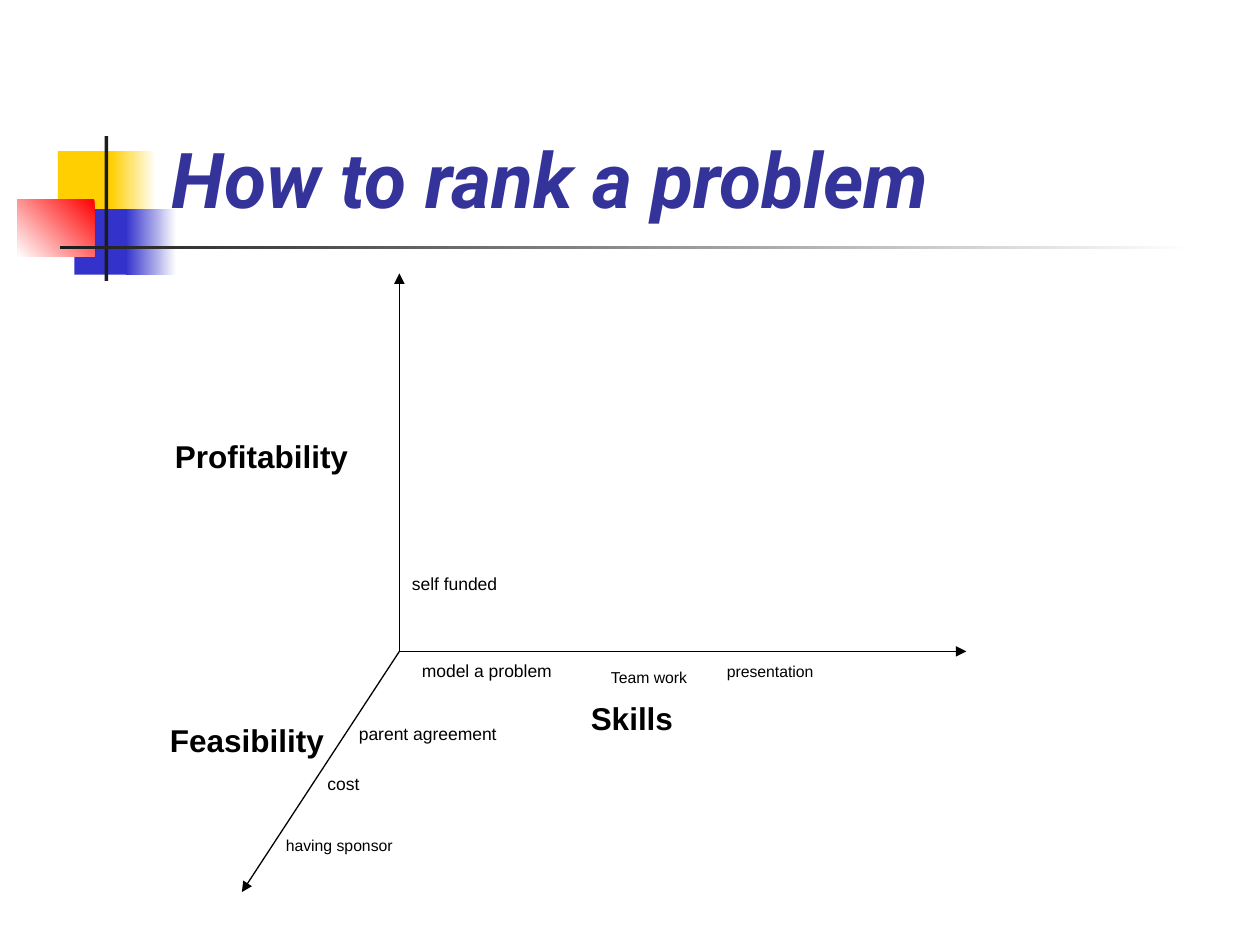
from pptx import Presentation
from pptx.dml.color import RGBColor
from pptx.enum.shapes import MSO_CONNECTOR, MSO_SHAPE
from pptx.enum.text import MSO_ANCHOR, MSO_AUTO_SIZE, PP_ALIGN
from pptx.oxml.ns import qn
from pptx.util import Inches, Pt
from lxml.etree import SubElement

WHITE = RGBColor(0xFF, 0xFF, 0xFF)
BLACK = RGBColor(0x00, 0x00, 0x00)
CHARCOAL = RGBColor(0x1C, 0x1C, 0x1C)
YELLOW = RGBColor(0xFF, 0xCF, 0x01)
BLUE = RGBColor(0x33, 0x33, 0xCC)
RED = RGBColor(0xFF, 0x00, 0x00)
NAVY = RGBColor(0x33, 0x33, 0x99)

# Position, colours (two make a gradient) and gradient angle
DECORATION = [
    ((0.46, 1.2, 0.48, 0.52), (YELLOW,), 0),
    ((0.88, 1.2, 0.36, 0.52), (WHITE, YELLOW), 180),
    ((0.59, 1.66, 0.46, 0.52), (BLUE,), 0),
    ((1, 1.66, 0.4, 0.52), (WHITE, BLUE), 180),
    ((0.14, 1.58, 0.61, 0.46), (RED, WHITE), 225),
    ((0.83, 1.08, 0.03, 1.15), (CHARCOAL,), 0),
    ((0.48, 1.95, 9, 0.03), (WHITE, CHARCOAL), 180),
]

ORIGIN = (3.17, 5.17)
AXIS_ENDS = [(3.17, 2.17), (7.67, 5.17), (1.92, 7.08)]

AXIS_NAMES = [
    ("Skills", (4.59, 5.5, 0.85, 0.4), MSO_ANCHOR.TOP),
    ("Profitability", (1.29, 3.42, 2.39, 0.7), MSO_ANCHOR.TOP),
    ("Feasibility", (1.25, 5.42, 1.49, 0.9), MSO_ANCHOR.MIDDLE),
]

# Text, position, size; a tall line ends in a large space
CRITERIA = [
    ("model a problem", (3.25, 5.08, 1.3, 0.4), 10, True),
    ("Team work", (4.75, 5.25, 0.85, 0.25), 9, False),
    ("presentation", (5.67, 5.08, 0.95, 0.4), 9, True),
    ("parent agreement", (2.75, 5.58, 1.36, 0.4), 10, True),
    ("self funded", (3.17, 4.5, 0.91, 0.27), 10, False),
    ("cost", (2.5, 6.08, 0.49, 0.27), 10, False),
    ("having sponsor", (2.17, 6.58, 1.08, 0.25), 9, False),
]


def inches(values):
    return [Inches(value) for value in values]


def add_span(para, text, color=BLACK, **font):
    span = para.add_run()
    span.text = text
    span.font.color.rgb = color
    for name, value in ({"name": "Arial"} | font).items():
        setattr(span.font, name, value)


def add_block(page, place, colors, angle):
    block = page.shapes.add_shape(MSO_SHAPE.RECTANGLE, *inches(place))
    block.shadow.inherit = False
    block.line.fill.background()
    if len(colors) == 1:
        block.fill.solid()
        block.fill.fore_color.rgb = colors[0]
        return
    block.fill.gradient()
    block.fill.gradient_angle = angle
    for stop, color, position in zip(block.fill.gradient_stops, colors, (0, 1)):
        stop.color.rgb = color
        stop.position = position


def add_title(page, text):
    title = page.shapes.title
    places = inches((1.26, 0.23, 8.52, 1.6))
    for name, value in zip(("left", "top", "width", "height"), places):
        setattr(title, name, value)
    frame = title.text_frame
    frame.auto_size = MSO_AUTO_SIZE.NONE
    frame.vertical_anchor = MSO_ANCHOR.BOTTOM
    para = frame.paragraphs[0]
    para.alignment = PP_ALIGN.LEFT
    add_span(para, text, NAVY, name="Roboto", size=Pt(44), bold=True, italic=True)
    # Bring the title in front of the decoration
    page.shapes._spTree.append(title._element)


def add_axis(page, end):
    axis = page.shapes.add_connector(
        MSO_CONNECTOR.STRAIGHT, *inches(ORIGIN + end))
    axis.line.color.rgb = BLACK
    axis.line.width = Pt(0.75)
    SubElement(axis.line._get_or_add_ln(), qn("a:tailEnd"), type="triangle")
    SubElement(axis._element.spPr, qn("a:effectLst"))


def add_label(page, text, place, anchor, **font):
    box = page.shapes.add_textbox(*inches(place))
    frame = box.text_frame
    frame.word_wrap = False
    frame.vertical_anchor = anchor
    para = frame.paragraphs[0]
    para.alignment = PP_ALIGN.LEFT
    add_span(para, text, **font)
    return para


def main():
    deck = Presentation()
    deck.slide_width, deck.slide_height = inches((10, 7.5))
    page = deck.slides.add_slide(deck.slide_layouts[5])

    # Heading
    for place, colors, angle in DECORATION:
        add_block(page, place, colors, angle)
    add_title(page, "How to rank a problem")

    # Three axes and their names
    for end in AXIS_ENDS:
        add_axis(page, end)
    for text, place, anchor in AXIS_NAMES:
        add_label(page, text, place, anchor, size=Pt(18), bold=True)

    # Criteria along the axes
    for text, place, size, tall in CRITERIA:
        para = add_label(page, text, place, MSO_ANCHOR.MIDDLE, size=Pt(size))
        if tall:
            add_span(para, " ", size=Pt(18), bold=True)

    deck.save("out.pptx")


if __name__ == "__main__":
    main()
